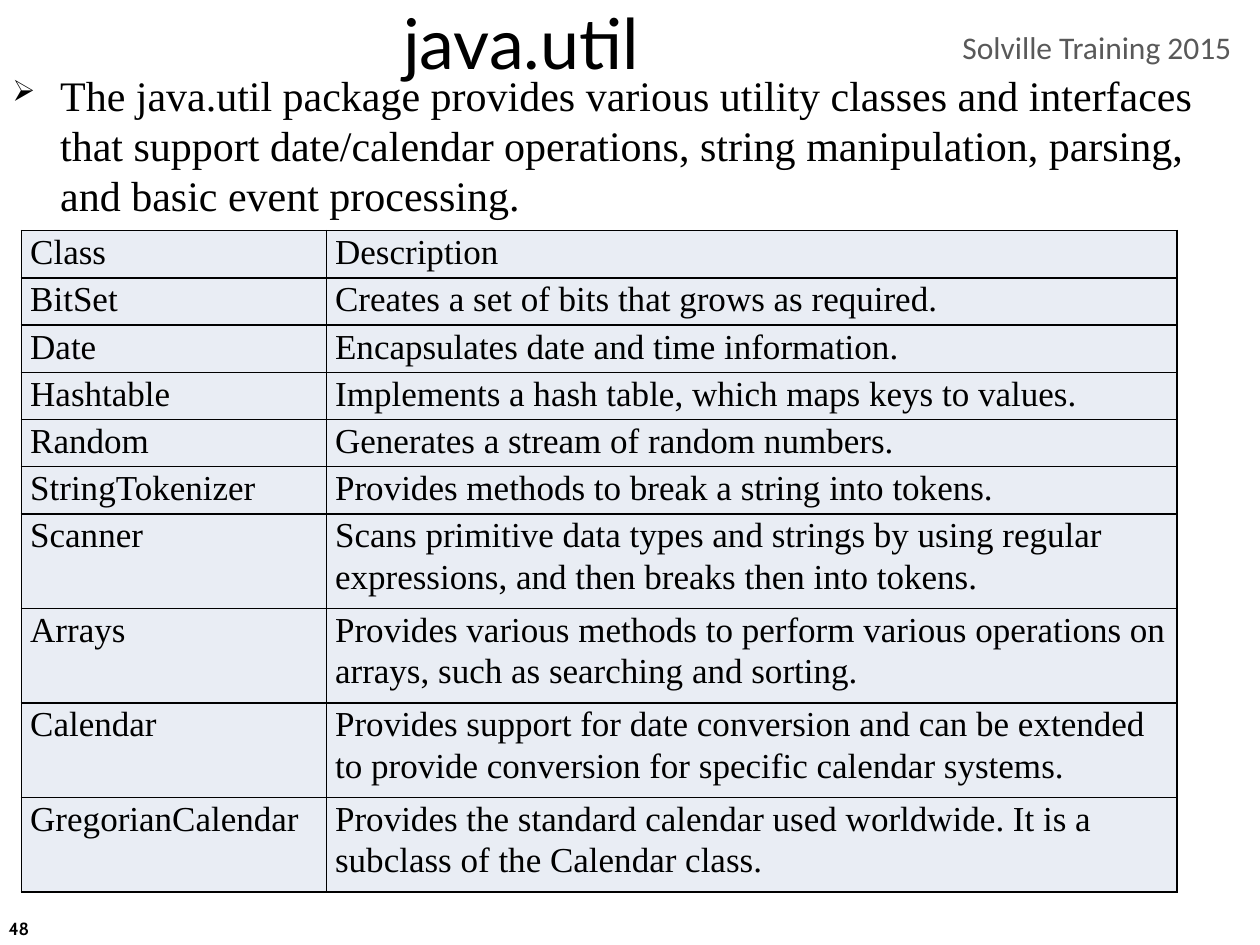
from typing import NamedTuple

from lxml import etree
from pptx import Presentation
from pptx.dml.color import RGBColor
from pptx.enum.text import MSO_ANCHOR, PP_ALIGN
from pptx.oxml.ns import qn
from pptx.util import Inches, Pt

TOP, MIDDLE = MSO_ANCHOR.TOP, MSO_ANCHOR.MIDDLE
LEFT, CENTER = PP_ALIGN.LEFT, PP_ALIGN.CENTER

COLORS = {"ink": "000000", "header": "595959", "cell": "E9EDF4"}
SERIF = "Times New Roman"

TABLE_LEFT, TABLE_TOP, TABLE_HEIGHT = 0.17, 1.83, 5.25
COLUMN_WIDTHS = (2.42, 6.75)


class Label(NamedTuple):
    text: str
    box: tuple[float, float, float, float]
    font: str
    size: float
    color: str = "ink"
    bold: bool = False
    anchor: MSO_ANCHOR = TOP
    align: PP_ALIGN = LEFT
    wrap: bool = True


class ClassRow(NamedTuple):
    name: str
    description: str
    lines: int = 1


PAGE_NUMBER = Label("48", (-0.03, 7.17, 2.33, 0.4), "Cabin", 10, bold=True, anchor=MIDDLE)
COURSE = Label("Solville Training 2015", (7.54, 0.17, 2.46, 0.4), "Calibri", 18,
               color="header", wrap=False)
INTRO = Label("The java.util package provides various utility classes and interfaces "
              "that support date/calendar operations, string manipulation, parsing, "
              "and basic event processing.", (0, 0.5, 10, 1.17), SERIF, 24)
TITLE = Label("java.util", (0, 0.08, 8.27, 0.5), "Lato", 40, anchor=MIDDLE, align=CENTER)

CLASS_ROWS = [
    ClassRow("Class", "Description"),
    ClassRow("BitSet", "Creates a set of bits that grows as required."),
    ClassRow("Date", "Encapsulates date and time information."),
    ClassRow("Hashtable", "Implements a hash table, which maps keys to values."),
    ClassRow("Random", "Generates a stream of random numbers."),
    ClassRow("StringTokenizer", "Provides methods to break a string into tokens."),
    ClassRow("Scanner", "Scans primitive data types and strings by using regular "
             "expressions, and then breaks then into tokens.", 2),
    ClassRow("Arrays", "Provides various methods to perform various operations on "
             "arrays, such as searching and sorting.", 2),
    ClassRow("Calendar", "Provides support for date conversion and can be extended "
             "to provide conversion for specific calendar systems.", 2),
    ClassRow("GregorianCalendar", "Provides the standard calendar used worldwide. It is a "
             "subclass of the Calendar class.", 2),
]


def rgb(name: str) -> RGBColor:
    return RGBColor.from_string(COLORS[name])


def add_run(paragraph, text: str, font: str, size: float, color: str = "ink",
            bold: bool = False) -> None:
    run = paragraph.add_run()
    run.text = text
    run.font.name = font
    run.font.size = Pt(size)
    run.font.bold = bold
    run.font.color.rgb = rgb(color)


def add_label(slide, label: Label):
    """Draw a one-paragraph text box and return its paragraph."""
    frame = slide.shapes.add_textbox(*map(Inches, label.box)).text_frame
    frame.word_wrap = label.wrap
    frame.vertical_anchor = label.anchor
    paragraph = frame.paragraphs[0]
    paragraph.alignment = label.align
    add_run(paragraph, label.text, label.font, label.size, label.color, label.bold)
    return paragraph


def add_bullet(paragraph, mark: str, indent: float, percent: int) -> None:
    properties = paragraph._p.get_or_add_pPr()
    properties.set("marL", str(Inches(indent)))
    properties.set("indent", str(-Inches(indent)))
    etree.SubElement(properties, qn("a:buSzPct"), val=str(percent * 1000))
    etree.SubElement(properties, qn("a:buChar"), char=mark)


def add_borders(cell, color: str, width: float) -> None:
    properties = cell._tc.get_or_add_tcPr()
    for position, side in enumerate(("a:lnL", "a:lnR", "a:lnT", "a:lnB")):
        line = etree.Element(qn(side), w=str(Pt(width)))
        fill = etree.SubElement(line, qn("a:solidFill"))
        etree.SubElement(fill, qn("a:srgbClr"), val=COLORS[color])
        properties.insert(position, line)


def fill_cell(cell, text: str) -> None:
    cell.margin_left = cell.margin_right = Inches(0.07)
    cell.margin_top = cell.margin_bottom = 0
    cell.fill.solid()
    cell.fill.fore_color.rgb = rgb("cell")
    add_borders(cell, "ink", 1)
    paragraph = cell.text_frame.paragraphs[0]
    paragraph.line_spacing = 1.07
    add_run(paragraph, text, SERIF, 20)


def add_class_table(slide, rows: list[ClassRow]) -> None:
    line_height = TABLE_HEIGHT / sum(row.lines for row in rows)
    table = slide.shapes.add_table(
        len(rows), len(COLUMN_WIDTHS), Inches(TABLE_LEFT), Inches(TABLE_TOP),
        Inches(sum(COLUMN_WIDTHS)), Inches(TABLE_HEIGHT)).table
    table.first_row = table.horz_banding = False
    for column, width in zip(table.columns, COLUMN_WIDTHS):
        column.width = Inches(width)
    for table_row, row in zip(table.rows, rows):
        table_row.height = Inches(row.lines * line_height)
        for cell, text in zip(table_row.cells, (row.name, row.description)):
            fill_cell(cell, text)


def main() -> None:
    deck = Presentation()
    deck.slide_width, deck.slide_height = Inches(10), Inches(7.5)
    slide = deck.slides.add_slide(deck.slide_layouts[6])

    add_label(slide, PAGE_NUMBER)
    add_label(slide, COURSE)
    intro = add_label(slide, INTRO)
    intro.space_before = Pt(0.2 * INTRO.size)
    add_bullet(intro, "➢", 0.38, 70)
    add_label(slide, TITLE)
    add_class_table(slide, CLASS_ROWS)

    deck.save("out.pptx")


if __name__ == "__main__":
    main()
